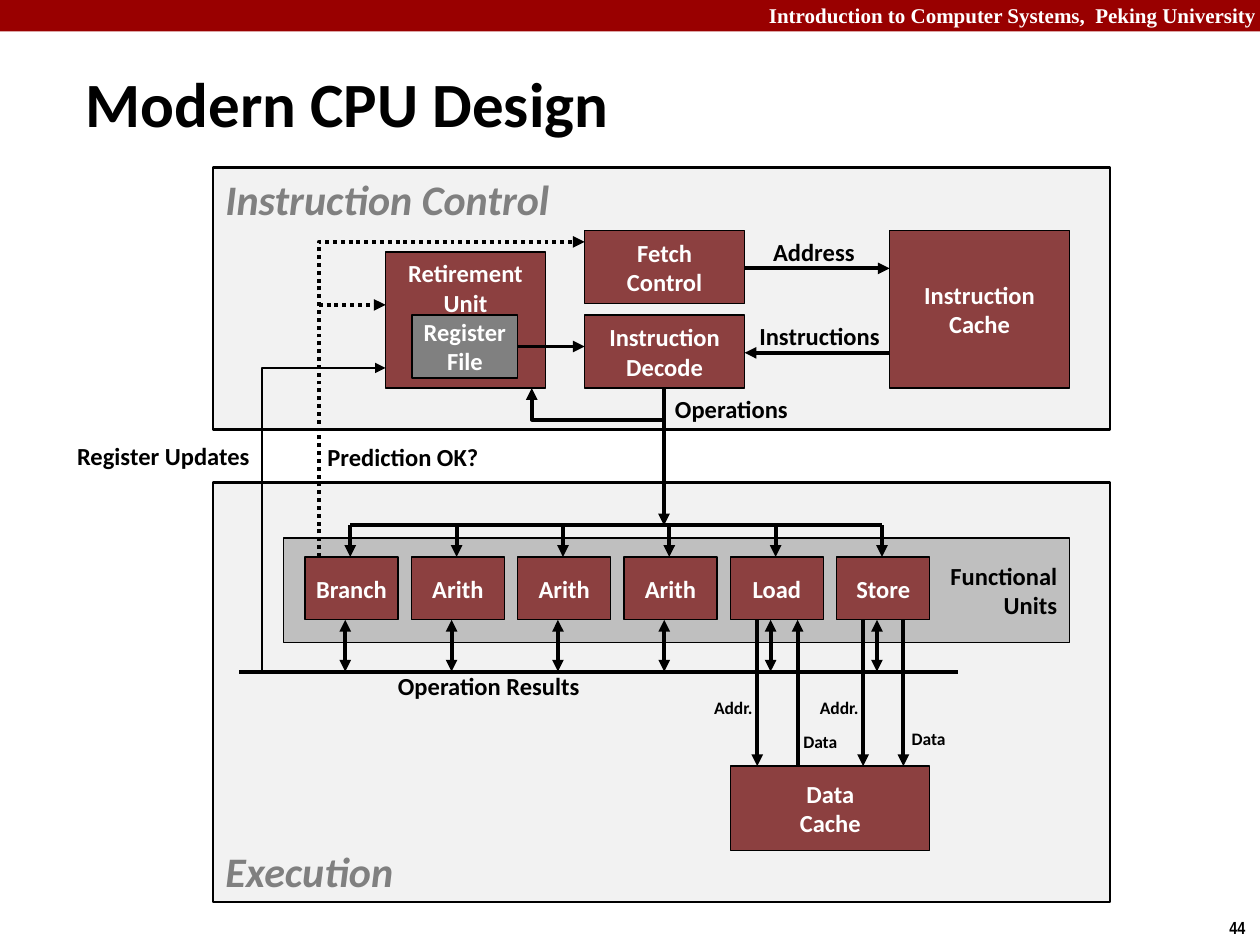
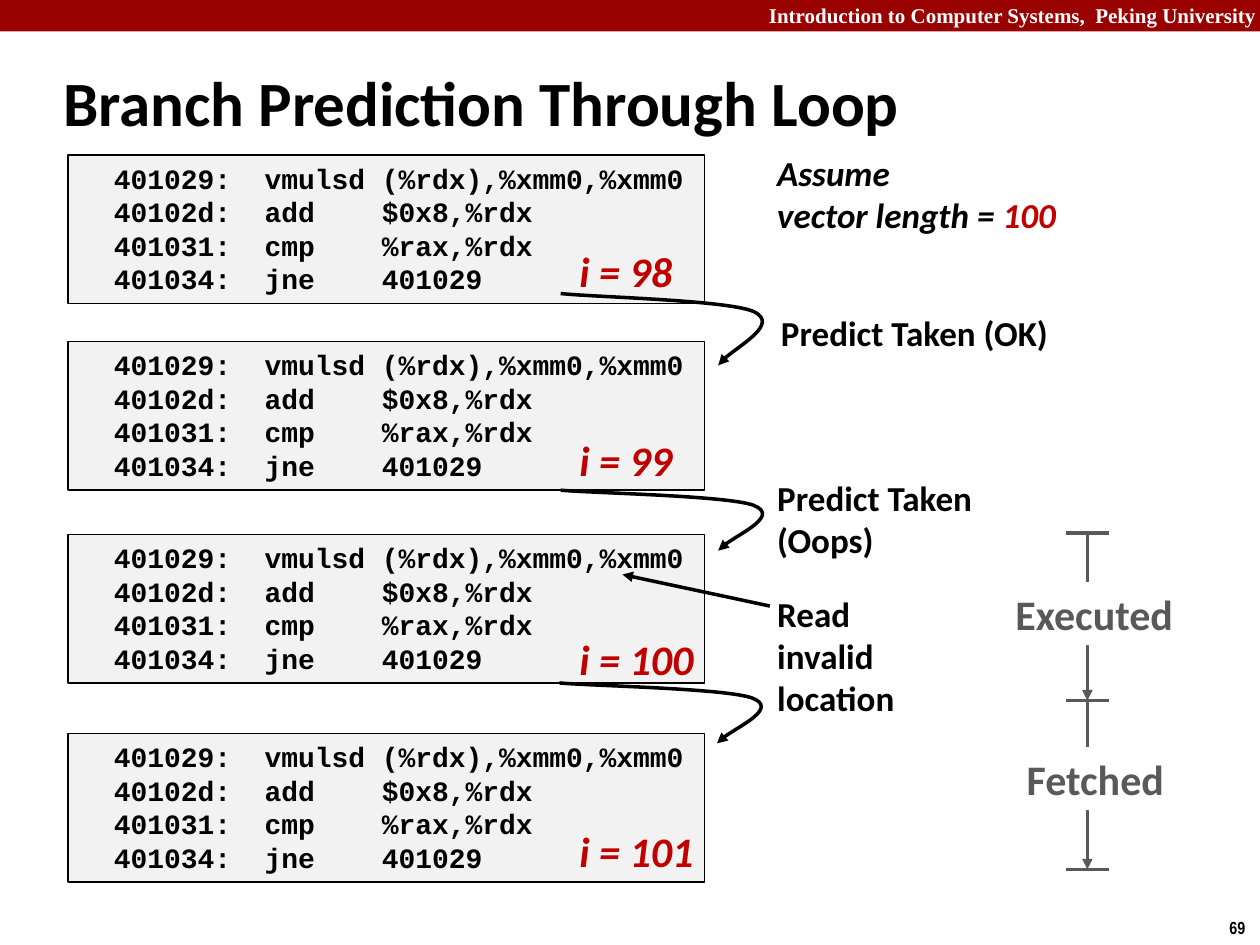
import pptx
import pptx.dml.color
import pptx.enum.dml
import pptx.enum.shapes
import pptx.enum.text
import pptx.oxml
import pptx.oxml.ns
import pptx.util
from pptx.util import Inches

ALIGN = pptx.enum.text.PP_ALIGN
ANCHOR = pptx.enum.text.MSO_ANCHOR
FIT = pptx.enum.text.MSO_AUTO_SIZE

BLACK = "000000"
WHITE = "FFFFFF"
BAND = "990000"
UNIT = "8C4040"
PANEL = "F2F2F2"
SHELF = "BFBFBF"
GRAY = "808080"
DARK_GRAY = "595959"
RED = "C00000"

CODE = [
    "  401029:  vmulsd (%rdx),%xmm0,%xmm0",
    "  40102d:  add    $0x8,%rdx",
    "  401031:  cmp    %rax,%rdx",
    "  401034:  jne    401029",
]


def rgb(value):
    return pptx.dml.color.RGBColor.from_string(value)


def element(tag, **attributes):
    node = pptx.oxml.parse_xml(f"<{tag} {pptx.oxml.ns.nsdecls('a')}/>")
    for name, value in attributes.items():
        node.set(name, value)
    return node


class SlideMaker:
    def __init__(self, deck):
        self.deck = deck
        self.page = None

    def start(self, title, number, left, top, width):
        self.page = self.deck.slides.add_slide(self.deck.slide_layouts[5])
        self.box(0, 0, 10, 0.25, fill=BAND)
        self.label(6, -0.03, 4.07, 0.3, ["Introduction to Computer Systems,  Peking University"],
                   size=12, font="Times New Roman", color=WHITE, align=ALIGN.RIGHT, wrap=True)
        self.label(9.66, 7.23, 0.34, 0.27, [str(number)], size=10, font="Arial Narrow")
        holder = self.page.shapes.title
        holder.left, holder.top = Inches(left), Inches(top)
        holder.width, holder.height = Inches(width), Inches(0.63)
        self.set_text(holder, [title], size=36, anchor=ANCHOR.MIDDLE, wrap=True)

    def set_text(self, shape, lines, size=14, color=BLACK, font="Calibri", italic=False,
                 align=ALIGN.LEFT, anchor=ANCHOR.TOP, wrap=False, fit=FIT.NONE):
        frame = shape.text_frame
        frame.word_wrap = wrap
        frame.auto_size = fit
        frame.vertical_anchor = anchor
        for index, line in enumerate(lines):
            para = frame.add_paragraph() if index else frame.paragraphs[0]
            para.alignment = align
            for text, tint in [(line, color)] if isinstance(line, str) else line:
                span = para.add_run()
                span.text = text
                span.font.name = font
                span.font.size = pptx.util.Pt(size)
                span.font.bold = True
                span.font.italic = italic
                span.font.color.rgb = rgb(tint)

    def label(self, left, top, width, height, lines, **style):
        shape = self.page.shapes.add_textbox(
            Inches(left), Inches(top), Inches(width), Inches(height))
        self.set_text(shape, lines, fit=FIT.SHAPE_TO_FIT_TEXT, **style)

    def box(self, left, top, width, height, lines=(), fill=PANEL, line=0, **style):
        shape = self.page.shapes.add_shape(
            pptx.enum.shapes.MSO_SHAPE.RECTANGLE,
            Inches(left), Inches(top), Inches(width), Inches(height))
        shape.shadow.inherit = False
        shape.fill.solid()
        shape.fill.fore_color.rgb = rgb(fill)
        if line:
            shape.line.color.rgb = rgb(BLACK)
            shape.line.width = pptx.util.Pt(line)
        else:
            shape.line.fill.background()
        self.set_text(shape, lines, **style)

    def unit(self, left, top, width, height, lines, fill=UNIT, anchor=ANCHOR.MIDDLE):
        self.box(left, top, width, height, lines, fill=fill, line=0.75,
                 color=WHITE, align=ALIGN.CENTER, anchor=anchor)

    def stroke(self, shape, width, color, dotted, head, tail):
        shape.line.color.rgb = rgb(color)
        shape.line.width = pptx.util.Pt(width)
        if dotted:
            shape.line.dash_style = pptx.enum.dml.MSO_LINE.ROUND_DOT
        outline = shape._element.spPr.find(pptx.oxml.ns.qn("a:ln"))
        if head:
            outline.append(element("a:headEnd", type="triangle"))
        if tail:
            outline.append(element("a:tailEnd", type="triangle"))

    def line(self, x1, y1, x2, y2, width=2.25, color=BLACK, dotted=False,
             head=False, tail=True):
        shape = self.page.shapes.add_connector(
            pptx.enum.shapes.MSO_CONNECTOR.STRAIGHT,
            Inches(x1), Inches(y1), Inches(x2), Inches(y2))
        self.stroke(shape, width, color, dotted, head, tail)
        shape._element.spPr.append(element("a:effectLst"))

    def route(self, points, width=2.25, dotted=False, curved=False):
        places = [(Inches(x), Inches(y)) for x, y in points]
        builder = self.page.shapes.build_freeform(*places[0])
        builder.add_line_segments(places[1:], close=False)
        shape = builder.convert_to_shape()
        shape.shadow.inherit = False
        shape.fill.background()
        self.stroke(shape, width, BLACK, dotted, False, True)
        if curved:
            steps = shape._element.findall(".//" + pptx.oxml.ns.qn("a:lnTo"))
            for start in range(0, len(steps), 3):
                curve = element("a:cubicBezTo")
                steps[start].addprevious(curve)
                for step in steps[start:start + 3]:
                    curve.append(step[0])
                    step.getparent().remove(step)


def draw_cpu(maker):
    maker.start("Modern CPU Design", 44, 0.58, 0.5, 6.41)
    heading = dict(line=1.5, size=24, color=GRAY, italic=True)
    maker.box(1.69, 3.83, 7.12, 3.33, ["Execution"], anchor=ANCHOR.BOTTOM, **heading)
    maker.box(2.25, 4.27, 6.24, 0.83, ["Functional", "Units"], fill=SHELF, line=0.75,
              align=ALIGN.RIGHT, anchor=ANCHOR.MIDDLE)
    maker.box(1.69, 1.33, 7.12, 2.08, ["Instruction Control"], **heading)

    maker.unit(7.06, 1.83, 1.43, 1.25, ["Instruction", "Cache"])
    maker.unit(5.8, 6.08, 1.58, 0.67, ["Data", "Cache"])
    maker.unit(4.64, 1.83, 1.27, 0.58, ["Fetch", "Control"])
    maker.unit(4.64, 2.5, 1.27, 0.58, ["Instruction", "Decode"])
    maker.unit(3.06, 2, 1.27, 1.08, ["Retirement", "Unit"], anchor=ANCHOR.TOP)
    maker.unit(3.27, 2.5, 0.84, 0.5, ["Register", "File"], fill=GRAY)

    bus, results, unit_top, unit_bottom = 4.17, 5.33, 4.42, 4.92
    names = ["Branch", "Arith", "Arith", "Arith", "Load", "Store"]
    for index, name in enumerate(names):
        left = 2.42 + index * 4.22 / 5
        maker.unit(left, unit_top, 0.74, 0.5, [name])
        maker.line(left + 0.36, bus, left + 0.36, unit_top)
        maker.line(left + 0.32, unit_bottom, left + 0.32, results, head=True)
    maker.line(2.78, bus, 7, bus, tail=False)
    maker.line(1.9, results, 7.6, results, tail=False)

    maker.line(5.91, 2.13, 7.06, 2.13)
    maker.line(7.06, 2.8, 5.91, 2.8)
    maker.line(4.11, 2.75, 4.64, 2.75)
    maker.line(5.27, 3.08, 5.27, bus)
    cache_top = 6.08
    for x in (6.01, 6.85, 7.17):
        maker.line(x, unit_bottom, x, cache_top)
    maker.line(6.33, cache_top, 6.33, unit_bottom)

    maker.route([(2.53, unit_top), (2.53, 1.92), (4.64, 1.92)], dotted=True)
    maker.line(2.53, 2.42, 3.06, 2.42, dotted=True)
    maker.route([(2.08, results), (2.08, 2.92), (3.06, 2.92)], width=1.5)
    maker.route([(5.27, 3.33), (4.22, 3.33), (4.22, 3.08)])

    for left, top, width, text, align in [
        (6.03, 1.83, 0.86, "Address", ALIGN.CENTER),
        (5.92, 2.5, 1.17, "Instructions", ALIGN.CENTER),
        (5.25, 3.08, 1.11, "Operations", ALIGN.CENTER),
        (2.5, 3.46, 1.41, "Prediction OK?", ALIGN.LEFT),
        (3.06, 5.28, 1.66, "Operation Results", ALIGN.LEFT),
        (0.5, 3.45, 1.58, "Register Updates", ALIGN.RIGHT),
    ]:
        maker.label(left, top, width, 0.34, [text], align=align)
    for left, top, width, text in [
        (7.13, 5.73, 0.48, "Data"),
        (6.27, 5.75, 0.48, "Data"),
        (5.56, 5.48, 0.52, "Addr."),
        (6.4, 5.48, 0.52, "Addr."),
    ]:
        maker.label(left, top, width, 0.27, [text], size=10, align=ALIGN.CENTER)


def draw_loop(maker):
    maker.start("Branch Prediction Through Loop", 69, 0.4, 0.49, 8.59)
    for top in (1.23, 2.71, 4.24, 5.82):
        maker.box(0.54, top, 5.05, 1.18, CODE, line=0.75, size=16,
                  font="Courier New", fit=FIT.SHAPE_TO_FIT_TEXT)

    bend = [(0, 0), (0.26, 0.05), (1.32, 0.09), (1.53, 0.25),
            (1.74, 0.42), (1.31, 0.83), (1.25, 1)]
    for left, top, height in [(4.45, 2.33, 0.57), (4.45, 3.89, 0.48), (4.44, 5.42, 0.48)]:
        maker.route([(left + x, top + y * height) for x, y in bend], width=2, curved=True)

    for count, top, width in [(98, 1.9, 0.94), (99, 3.4, 0.94),
                              (100, 4.98, 1.11), (101, 6.5, 1.11)]:
        maker.label(4.5, top, width, 0.5, [f"i = {count}"], size=24, color=RED, italic=True)

    maker.label(6.07, 1.15, 2.43, 0.77,
                ["Assume", [("vector length = ", BLACK), ("100", RED)]], size=20, italic=True)
    maker.label(6.1, 2.42, 2.34, 0.44, ["Predict Taken (OK)"], size=20)
    maker.label(6.07, 3.73, 1.76, 0.77, ["Predict Taken", "(Oops)"], size=20)
    maker.label(6.07, 4.65, 1.42, 1.11, ["Read invalid location"], size=20, wrap=True)
    maker.line(6.11, 4.81, 4.94, 4.56, width=2)

    marks = [4.23, 5.56, 6.9]
    for top, bottom in zip(marks, marks[1:]):
        maker.line(8.63, top, 8.63, bottom, width=2, color=DARK_GRAY)
    for left, top, width, text in [(7.96, 4.62, 1.47, "Executed"), (8.05, 5.93, 1.3, "Fetched")]:
        maker.box(left, top, width, 0.5, [text], fill=WHITE, size=24, color=DARK_GRAY,
                  fit=FIT.SHAPE_TO_FIT_TEXT)
    for y in marks:
        maker.line(8.46, y, 8.8, y, width=2, color=DARK_GRAY, tail=False)


def main():
    deck = pptx.Presentation()
    deck.slide_width, deck.slide_height = Inches(10), Inches(7.5)
    maker = SlideMaker(deck)
    draw_cpu(maker)
    draw_loop(maker)
    deck.save("out.pptx")


if __name__ == "__main__":
    main()
